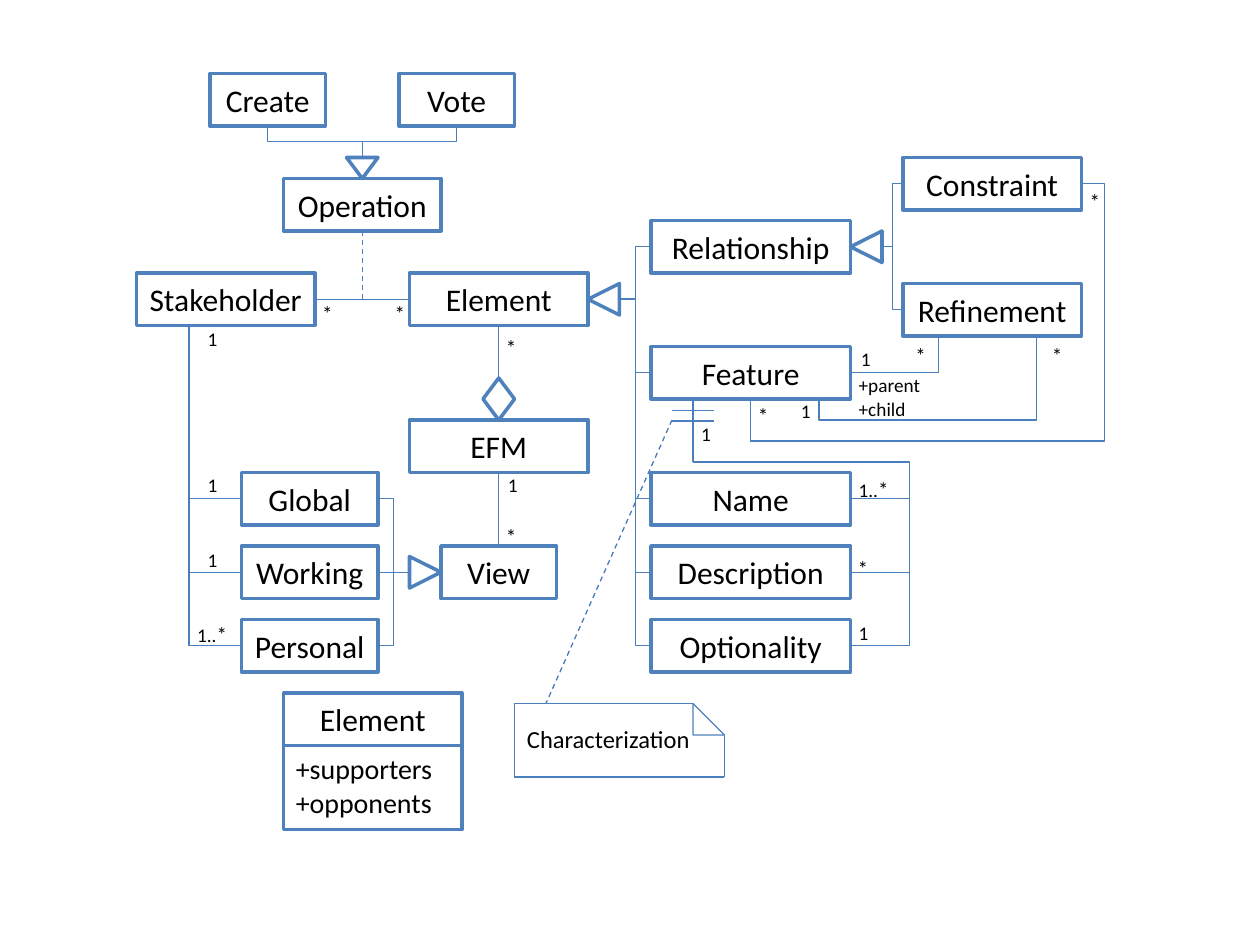
from dataclasses import dataclass

from lxml import etree
from pptx import Presentation, util as u
from pptx.dml.color import RGBColor
from pptx.enum import dml, shapes, text
from pptx.oxml.ns import qn


@dataclass(frozen=True)
class Theme:
    font: str = "Calibri"
    ink: str = "000000"
    paper: str = "FFFFFF"
    border: str = "4F81BD"
    link: str = "4B7EBC"
    name: int = 18
    attribute: int = 16
    note: int = 14
    role: int = 11
    star: int = 12
    thick: float = 2
    thin: float = 0.75


def g(n):
    return u.Cm(n * 25.4 / 120)


class Diagram:
    """Draws UML elements on one slide, on a grid of 120 columns."""

    def __init__(self, slide, theme):
        self.s, self.t = slide, theme

    def style_run(self, r, size):
        r.font.name, r.font.size = self.t.font, u.Pt(size)
        r.font.color.rgb = RGBColor.from_string(self.t.ink)

    def shape(self, kind, x, y, w, h, rot=0, width=None):
        sp = self.s.shapes.add_shape(kind, g(x), g(y), g(w), g(h))
        sp.shadow.inherit = False
        sp.rotation = rot
        sp.fill.solid()
        sp.fill.fore_color.rgb = RGBColor.from_string(self.t.paper)
        sp.line.color.rgb = RGBColor.from_string(self.t.border)
        sp.line.width = u.Pt(width or self.t.thick)
        return sp

    def box(self, name, x, y, w, h=5):
        sp = self.shape(shapes.MSO_SHAPE.RECTANGLE, x, y, w, h)
        tf = sp.text_frame
        tf.text = name
        tf.margin_left = tf.margin_right = 0
        tf.vertical_anchor = text.MSO_ANCHOR.MIDDLE
        p = tf.paragraphs[0]
        p.alignment = text.PP_ALIGN.CENTER
        self.style_run(p.runs[0], self.t.name)

    def attributes(self, lines, x, y, w, h):
        tf = self.shape(shapes.MSO_SHAPE.RECTANGLE, x, y, w, h).text_frame
        tf.text = "\n".join(lines)
        tf.vertical_anchor = text.MSO_ANCHOR.TOP
        for p in tf.paragraphs:
            p.alignment = text.PP_ALIGN.LEFT
            self.style_run(p.runs[0], self.t.attribute)

    def label(self, runs, x, y, w=3.4, h=3.5, size=None):
        tf = self.s.shapes.add_textbox(g(x), g(y), g(w), g(h)).text_frame
        tf.word_wrap = False
        p = tf.paragraphs[0]
        for part in runs:
            r = p.add_run()
            r.text = part
            self.style_run(r, size or (self.t.star if part == "*" else self.t.role))

    def line(self, x1, y1, x2, y2, width=None, dash=False, kind=shapes.MSO_CONNECTOR.STRAIGHT):
        c = self.s.shapes.add_connector(kind, g(x1), g(y1), g(x2), g(y2))
        c.line.color.rgb = RGBColor.from_string(self.t.link)
        c.line.width = u.Pt(width or self.t.thin)
        if dash:
            c.line.dash_style = dml.MSO_LINE.DASH
        etree.SubElement(c._element.spPr, qn("a:effectLst"))
        return c

    def elbow(self, x1, y1, x2, y2, via):
        c = self.line(x1, y1, x2, y2, kind=shapes.MSO_CONNECTOR.ELBOW)
        geom = c._element.spPr.find(qn("a:prstGeom"))
        av = geom.find(qn("a:avLst"))
        if av is None:
            av = etree.SubElement(geom, qn("a:avLst"))
        bend = round((via - x1) / (x2 - x1) * 100000)
        etree.SubElement(av, qn("a:gd"), name="adj1", fmla=f"val {bend}")


prs = Presentation()
prs.slide_width, prs.slide_height = u.Cm(25.4), u.Cm(19.05)
theme = Theme()
d = Diagram(prs.slides.add_slide(prs.slide_layouts[6]), theme)
rows = (45, 52, 59)

for name, x, y, w in (
    ("Relationship", 62, 21, 19), ("Element", 39, 26, 17), ("Feature", 62, 33, 19),
    ("Refinement", 86, 27, 17), ("Constraint", 86, 15, 17), ("EFM", 39, 40, 17),
    ("Stakeholder", 13, 26, 17), ("View", 42, 52, 11), ("Operation", 27, 17, 15),
    ("Create", 20, 7, 11), ("Vote", 38, 7, 11), ("Element", 27, 66, 17),
):
    d.box(name, x, y, w)
for y, view, trait in zip(rows, ("Global", "Working", "Personal"),
                          ("Name", "Description", "Optionality")):
    d.box(view, 23, y, 13)
    d.box(trait, 62, y, 19)
d.attributes(("+supporters", "+opponents"), 27, 71, 17, 8)

for x, y, h, rot in ((56, 27, 3, 270), (81, 22, 3, 270), (39, 53, 3, 90), (33, 15, 2, 180)):
    d.shape(shapes.MSO_SHAPE.ISOSCELES_TRIANGLE, x, y, 3, h, rot)
d.shape(shapes.MSO_SHAPE.DIAMOND, 46, 36, 3, 4)

for y in (23.5, 35.5, *(row + 2.5 for row in rows)):
    d.elbow(59, 28.5, 62, y, 60.5)
for y in (17.5, 29.5):
    d.elbow(84, 23.5, 86, y, 85)
for row in rows:
    d.elbow(18, 31, 23, row + 2.5, 18)
for y in (47.5, 61.5):
    d.elbow(36, y, 39, 54.5, 37.5)
for x in (25.5, 43.5):
    d.elbow(x, 12, 34.5, 13.5, x)
for y in (47.5, 54.5):
    d.elbow(86.6, y, 81, y + 7, 86.6)
for x1, y1, x2, y2, via in (
    (81, 35.5, 92, 32, 89.4), (81, 40, 101, 32, 98.7), (78, 38, 81, 40, 78),
    (103, 17.5, 81, 42, 105.2), (71.5, 38, 81, 42, 71.5), (66, 44, 81, 47.5, 86.6),
):
    d.elbow(x1, y1, x2, y2, via)

for ends in ((47.5, 36, 47.5, 31), (47.5, 45, 47.5, 52), (30, 28.5, 39, 28.5),
             (36, 54.5, 39, 54.5), (34.5, 13.5, 34.5, 15), (66, 41, 66, 44)):
    d.line(*ends)
for ends in ((64, 39.1, 68, 39.1), (64, 40.1, 68, 40.1), (66, 38.2, 66, 41)):
    d.line(*ends, width=1)
for ends in ((34.5, 22, 34.5, 28.5), (64, 40, 52, 67)):
    d.line(*ends, dash=True)

d.label(("Characterization",), 49, 68.4, 18.1, 4.1, theme.note)
d.shape(shapes.MSO_SHAPE.RIGHT_TRIANGLE, 66, 67, 3, 3, width=theme.thin)
for ends in ((66, 67, 49, 67), (49, 67, 49, 74), (69, 70, 69, 74), (49, 74, 69, 74)):
    d.line(*ends)

for x, y in ((102.6, 17.4), (71, 37.7), (86, 32), (99, 32), (47, 31.3), (47, 49.3),
             (80.5, 52.3), (29.5, 28), (36.4, 28)):
    d.label(("*",), x, y)
for x, y in ((75.1, 37.4), (80.8, 32.5), (47.2, 44.5), (18.6, 44.5), (18.6, 51.6),
             (18.6, 30.6), (80.6, 58.6), (65.6, 39.6)):
    d.label(("1",), x, y)
for x, y in ((17.6, 58.6), (80.6, 44.8)):
    d.label(("1..", "*"), x, y, 5.3)
d.label(("+parent",), 80.6, 35, 8.4)
d.label(("+child",), 80.6, 37.2, 7)

prs.save("out.pptx")
